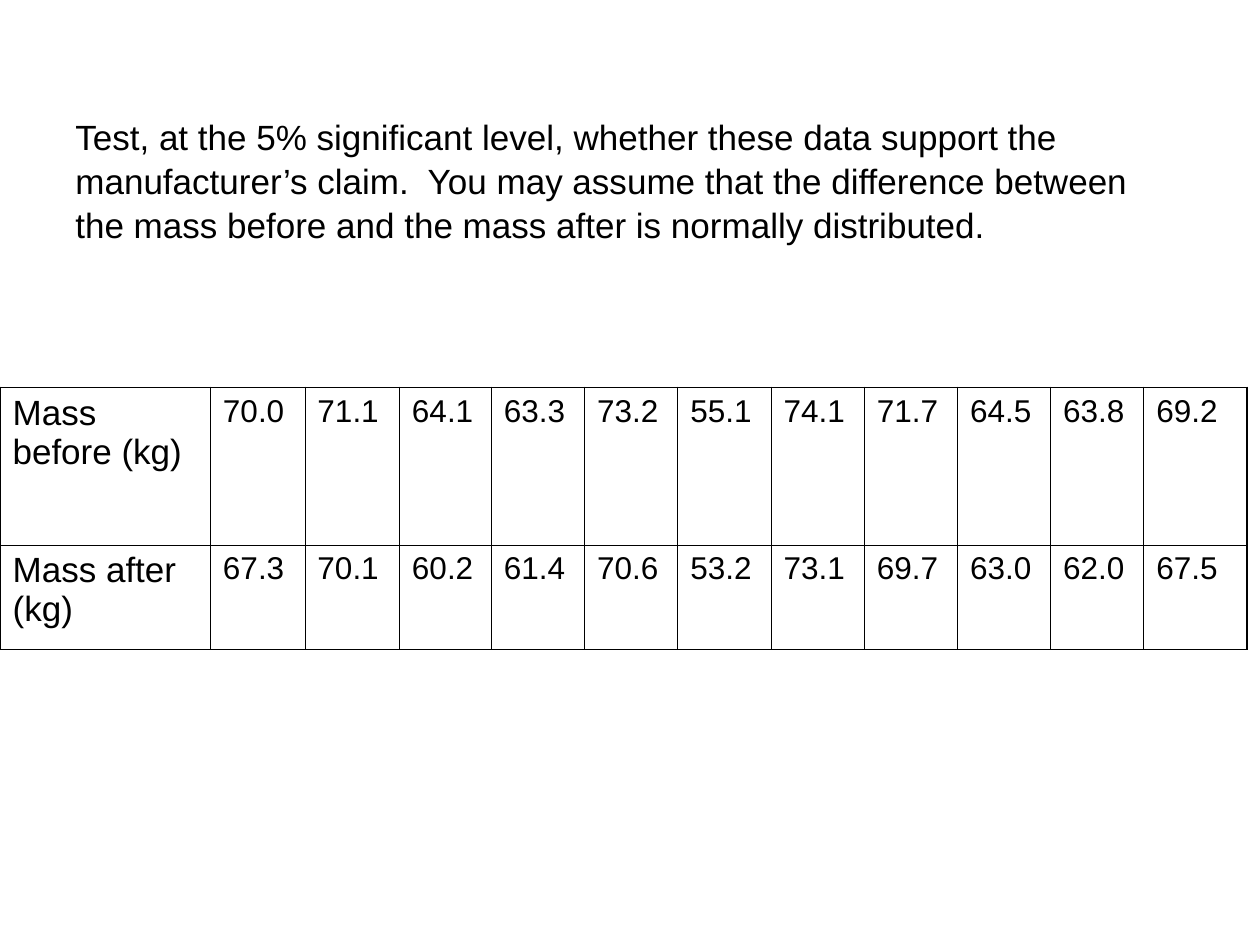
from lxml import etree
from pptx import Presentation
from pptx import util as u
from pptx.dml import color
from pptx.enum import text
from pptx.oxml import ns

WIDTH, HEIGHT = 10, 7.5
BLACK = "000000"
QUESTION = (
    "Test, at the 5% significant level, whether these data support the "
    "manufacturer’s claim.  You may assume that the difference between "
    "the mass before and the mass after is normally distributed."
)
MASSES = [
    ["Mass before (kg)", "70.0", "71.1", "64.1", "63.3", "73.2", "55.1",
     "74.1", "71.7", "64.5", "63.8", "69.2"],
    ["Mass after (kg)", "67.3", "70.1", "60.2", "61.4", "70.6", "53.2",
     "73.1", "69.7", "63.0", "62.0", "67.5"],
]
COLUMN_WIDTHS = [1.67, 0.75, 0.75, 0.73] + [0.74] * 7 + [0.82]
ROW_HEIGHTS = [1.25, 0.83]
OUTER_LINE, INNER_LINE = 1.08, 0.45


def rgb(value):
    """Return the colour for a hex string."""
    return color.RGBColor.from_string(value)


def add_run(paragraph, words, size):
    """Append a black Arial run to a paragraph."""
    run = paragraph.add_run()
    run.text = words
    run.font.name = "Arial"
    run.font.size = u.Pt(size)
    run.font.color.rgb = rgb(BLACK)


def add_question(slide):
    """Add the question above the table."""
    box = slide.shapes.add_textbox(
        u.Inches(0.05 * WIDTH), u.Inches(0.09 * HEIGHT),
        u.Inches(0.9 * WIDTH), u.Inches(0.2 * HEIGHT))
    frame = box.text_frame
    frame.word_wrap = True
    frame.vertical_anchor = text.MSO_ANCHOR.MIDDLE
    paragraph = frame.paragraphs[0]
    paragraph.line_spacing = 1.05
    add_run(paragraph, QUESTION, 20)


def set_borders(cell, outer_sides):
    """Draw four cell borders, heavier on the outer sides."""
    properties = cell._tc.get_or_add_tcPr()
    for index, side in enumerate(("lnL", "lnR", "lnT", "lnB")):
        weight = OUTER_LINE if side in outer_sides else INNER_LINE
        line = etree.Element(ns.qn("a:" + side), w=str(u.Pt(weight)))
        fill = etree.SubElement(line, ns.qn("a:solidFill"))
        etree.SubElement(fill, ns.qn("a:srgbClr"), val=BLACK)
        properties.insert(index, line)


def add_mass_table(slide):
    """Add the table of masses before and after."""
    rows, columns = len(MASSES), len(COLUMN_WIDTHS)
    table = slide.shapes.add_table(
        rows, columns, 0, u.Inches(0.41 * HEIGHT),
        u.Inches(sum(COLUMN_WIDTHS)), u.Inches(sum(ROW_HEIGHTS))).table
    table.first_row = table.horz_banding = False
    for column, width in zip(table.columns, COLUMN_WIDTHS):
        column.width = u.Inches(width)
    for row, height in zip(table.rows, ROW_HEIGHTS):
        row.height = u.Inches(height)
    for r, values in enumerate(MASSES):
        for c, value in enumerate(values):
            cell = table.cell(r, c)
            cell.fill.background()
            edges = {"lnL": c == 0, "lnR": c == columns - 1,
                     "lnT": r == 0, "lnB": r == rows - 1}
            set_borders(cell, [side for side, outer in edges.items() if outer])
            add_run(cell.text_frame.paragraphs[0], value, 20 if c == 0 else 18)


def main():
    """Build and save the slide."""
    presentation = Presentation()
    presentation.slide_width = u.Inches(WIDTH)
    presentation.slide_height = u.Inches(HEIGHT)
    slide = presentation.slides.add_slide(presentation.slide_layouts[6])
    add_question(slide)
    add_mass_table(slide)
    presentation.save("out.pptx")


if __name__ == "__main__":
    main()
